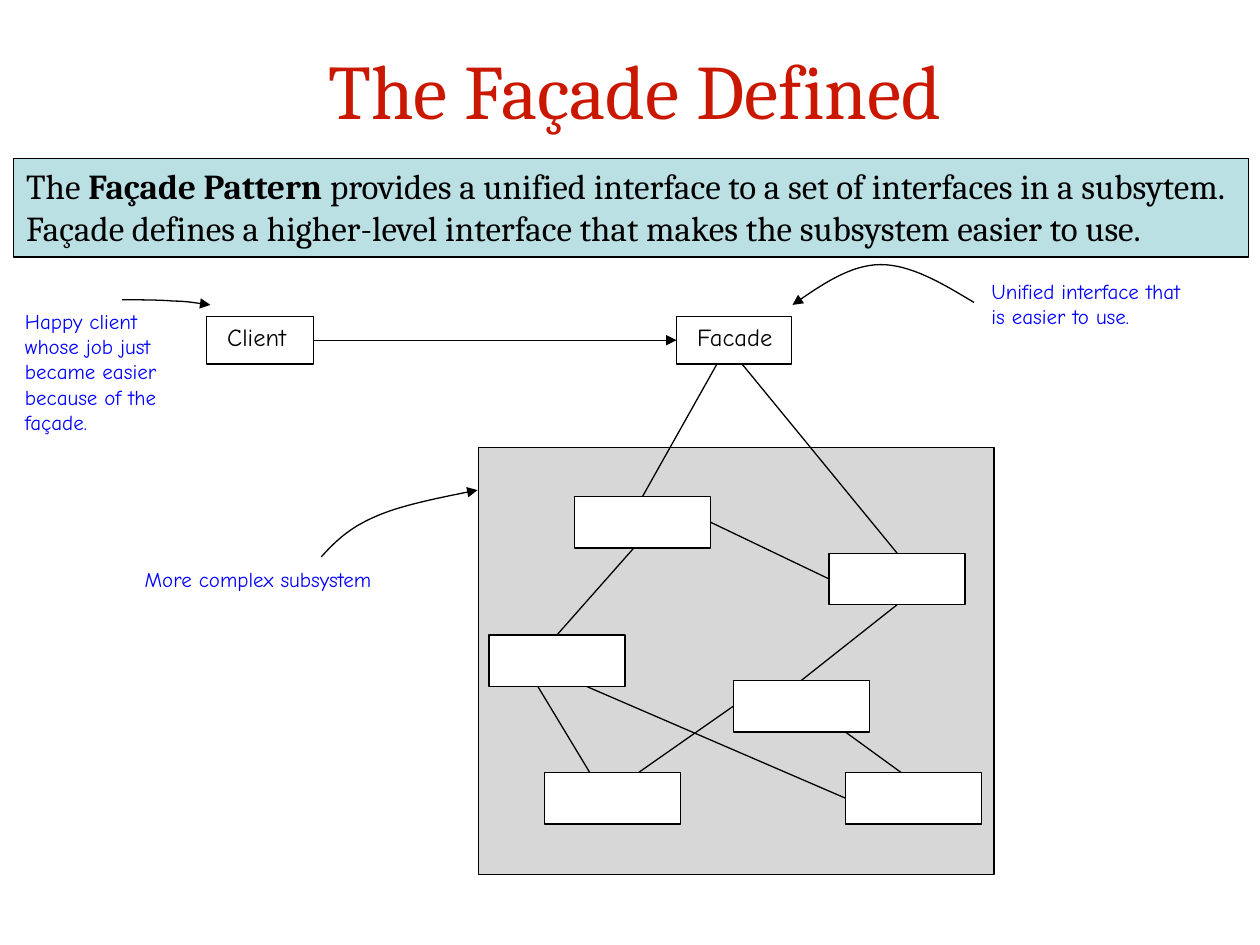
from lxml import etree
from pptx import Presentation
from pptx import util as u
from pptx.dml.color import RGBColor
from pptx.enum import shapes, text
from pptx.oxml import ns

TOP, LEFT, BOTTOM, RIGHT = range(4)


def color(value):
    return RGBColor.from_string(value)


class FacadeSlide:
    """Holds the style and the current slide."""

    serif, comic = "Cambria", "Comic Neue"
    black, white, red, blue = "000000", "FFFFFF", "CA1800", "0100FE"
    line_width = u.Pt(0.75)

    def __init__(self, presentation):
        self.slide = presentation.slides.add_slide(presentation.slide_layouts[5])
        self.shapes = self.slide.shapes

    def format_runs(self, paragraph, size, font, value):
        for run in paragraph.runs:
            run.font.size = u.Pt(size)
            run.font.name = font
            run.font.color.rgb = color(value)

    def outline(self, shape, arrow=False):
        shape.line.color.rgb = color(self.black)
        shape.line.width = self.line_width
        if arrow:
            tail = etree.SubElement(shape.line._get_or_add_ln(), ns.qn("a:tailEnd"))
            tail.set("type", "triangle")

    def title(self, words, left, top, width, height):
        shape = self.shapes.title
        shape.left, shape.top = u.Inches(left), u.Inches(top)
        shape.width, shape.height = u.Inches(width), u.Inches(height)
        shape.text_frame.text = words
        shape.text_frame.vertical_anchor = text.MSO_ANCHOR.MIDDLE
        paragraph = shape.text_frame.paragraphs[0]
        paragraph.alignment = text.PP_ALIGN.CENTER
        self.format_runs(paragraph, 44, self.serif, self.red)

    def box(self, left, top, width, height, fill=None, alpha=None):
        shape = self.shapes.add_shape(
            shapes.MSO_SHAPE.RECTANGLE,
            u.Inches(left), u.Inches(top), u.Inches(width), u.Inches(height))
        shape.shadow.inherit = False
        self.outline(shape)
        if fill is None:
            shape.fill.background()
        else:
            shape.fill.solid()
            shape.fill.fore_color.rgb = color(fill)
        if alpha is not None:
            fill_color = shape._element.spPr.find(".//" + ns.qn("a:srgbClr"))
            etree.SubElement(fill_color, ns.qn("a:alpha")).set("val", str(alpha * 1000))
        return shape

    def box_text(self, shape, parts, size, font):
        """Write (words, bold) parts into a box."""
        frame = shape.text_frame
        frame.word_wrap = True
        frame.vertical_anchor = text.MSO_ANCHOR.TOP
        paragraph = frame.paragraphs[0]
        paragraph.alignment = text.PP_ALIGN.LEFT
        for words, bold in parts:
            run = paragraph.add_run()
            run.text = words
            run.font.bold = bold
        self.format_runs(paragraph, size, font, self.black)

    def note(self, words, left, top, width, height):
        shape = self.shapes.add_textbox(
            u.Inches(left), u.Inches(top), u.Inches(width), u.Inches(height))
        shape.text_frame.word_wrap = True
        shape.text_frame.text = words
        self.format_runs(shape.text_frame.paragraphs[0], 12, self.comic, self.blue)

    def link(self, start, end, arrow=False):
        """Each end is an (x, y) point or a (shape, side) pair."""
        joined = [not isinstance(place[0], (int, float)) for place in (start, end)]
        points = [(0, 0) if join else place for join, place in zip(joined, (start, end))]
        line = self.shapes.add_connector(
            shapes.MSO_CONNECTOR.STRAIGHT,
            *(u.Inches(value) for point in points for value in point))
        if joined[0]:
            line.begin_connect(*start)
        if joined[1]:
            line.end_connect(*end)
        self.outline(line, arrow)
        etree.SubElement(line._element.spPr, ns.qn("a:effectLst"))

    def curved_arrow(self, *points, steps=16):
        """Draw two cubic curves through seven points."""
        track = []
        for first in (0, 3):
            a, b, c, d = points[first:first + 4]
            for step in range(1, steps + 1):
                t = step / steps
                s = 1 - t
                track.append(tuple(
                    u.Inches(s**3 * a[i] + 3 * s * s * t * b[i]
                             + 3 * s * t * t * c[i] + t**3 * d[i])
                    for i in (0, 1)))
        builder = self.shapes.build_freeform(*(u.Inches(value) for value in points[0]))
        builder.add_line_segments(track, close=False)
        shape = builder.convert_to_shape()
        shape.shadow.inherit = False
        shape.fill.background()
        self.outline(shape, arrow=True)


def main():
    presentation = Presentation()
    presentation.slide_width, presentation.slide_height = u.Inches(10), u.Inches(7.5)
    page = FacadeSlide(presentation)

    # Title and definition
    page.title("The Façade Defined", 0.5, 0.08, 9.08, 1.25)
    definition = page.box(0.11, 1.26, 9.8, 0.78, "BBE0E3")
    page.box_text(definition, [
        ("The ", False),
        ("Façade Pattern", True),
        (" provides a unified interface to a set of interfaces in a subsytem. "
         "Façade defines a higher-level interface that makes the subsystem "
         "easier to use.", False),
    ], 20, page.serif)

    # Client and facade
    client = page.box(1.64, 2.51, 0.85, 0.38)
    facade = page.box(5.37, 2.51, 0.91, 0.38)
    for shape, name in ((client, " Client"), (facade, " Facade")):
        page.box_text(shape, [(name, False)], 14, page.comic)

    # Subsystem with its classes
    page.box(3.8, 3.55, 4.09, 3.39, "808080", alpha=31)
    corners = [(4.56, 3.94), (6.58, 4.39), (3.88, 5.04),
               (5.82, 5.4), (4.32, 6.13), (6.71, 6.13)]
    upper_left, upper_right, middle_left, middle_right, lower_left, lower_right = [
        page.box(left, top, 1.08, 0.41, page.white) for left, top in corners]

    # Links inside the subsystem
    page.link((5.03, 4.35), (middle_left, TOP))
    page.link((upper_left, RIGHT), (upper_right, LEFT))
    page.link((upper_right, BOTTOM), (middle_right, TOP))
    page.link((middle_right, LEFT), (5.07, 6.13))
    page.link((4.27, 5.45), (4.68, 6.13))
    page.link((4.66, 5.45), (lower_right, LEFT))
    page.link((6.71, 5.81), (7.15, 6.13))

    # Links to and from the facade
    page.link((client, RIGHT), (facade, LEFT), arrow=True)
    page.link((5.69, 2.89), (upper_left, TOP))
    page.link((5.89, 2.89), (upper_right, TOP))

    # Notes with their curved arrows
    page.curved_arrow((7.73, 2.4), (7.48, 2.25), (7.23, 2.1), (6.99, 2.1),
                      (6.75, 2.1), (6.52, 2.26), (6.29, 2.42))
    page.curved_arrow((0.97, 2.38), (1.12, 2.38), (1.26, 2.38), (1.38, 2.39),
                      (1.49, 2.39), (1.58, 2.41), (1.67, 2.42))
    page.curved_arrow((2.55, 4.42), (2.66, 4.3), (2.77, 4.19), (2.98, 4.1),
                      (3.18, 4.01), (3.49, 3.95), (3.79, 3.89))
    page.note("Happy client whose job just became easier because of the façade.",
              0.1, 2.4, 1.36, 1.26)
    page.note("Unified interface that is easier to use.", 7.77, 2.16, 1.84, 0.57)
    page.note("More complex subsystem", 1.05, 4.45, 2.32, 0.33)

    presentation.save("out.pptx")


if __name__ == "__main__":
    main()
